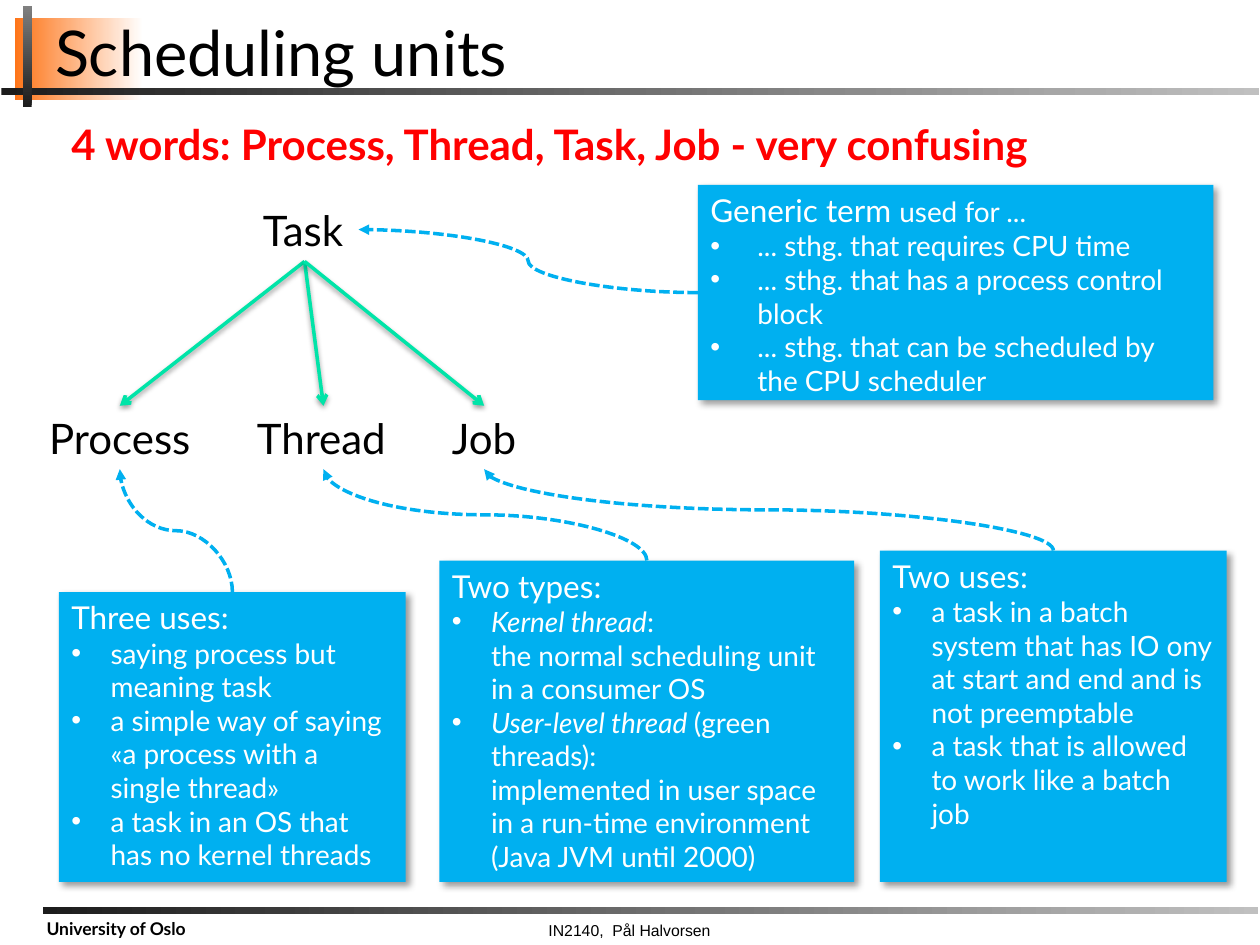
import pptx
import pptx.dml.color
import pptx.enum.dml
import pptx.enum.shapes
import pptx.enum.text
import pptx.oxml
import pptx.oxml.ns
import pptx.util
from lxml import etree

Cm = pptx.util.Cm
Pt = pptx.util.Pt
RGBColor = pptx.dml.color.RGBColor
CONNECTOR = pptx.enum.shapes.MSO_CONNECTOR
ANCHOR = pptx.enum.text.MSO_ANCHOR
ALIGN = pptx.enum.text.PP_ALIGN
qn = pptx.oxml.ns.qn

BLACK = RGBColor(0x00, 0x00, 0x00)
WHITE = RGBColor(0xFF, 0xFF, 0xFF)
RED = RGBColor(0xFF, 0x00, 0x00)
BLUE = RGBColor(0x00, 0xB0, 0xF0)
GREEN = RGBColor(0x00, 0xE4, 0xA8)
ORANGE = RGBColor(0xFE, 0x75, 0x19)
DARK = RGBColor(0x1C, 0x1C, 0x1C)
MID_GREY = RGBColor(0x80, 0x80, 0x80)
LIGHT_GREY = RGBColor(0xC0, 0xC0, 0xC0)

TOP, LEFT, BOTTOM, RIGHT = range(4)


def add_run(p, text, size=16, font="Lato", color=BLACK, bold=False, italic=False):
    """Add text to a paragraph; each newline becomes a line break."""
    for i, line in enumerate(text.split("\n")):
        if i:
            p.add_line_break()
        r = p.add_run()
        r.text = line
        r.font.size = Pt(size)
        r.font.name = font
        r.font.color.rgb = color
        r.font.bold = bold
        r.font.italic = italic


def add_label(s, text, x, y, w, h, wrap=True, align=ALIGN.LEFT, anchor=ANCHOR.TOP,
              top=0.13, right=0.25, spacing=None, **fmt):
    sp = s.shapes.add_textbox(Cm(x), Cm(y), Cm(w), Cm(h))
    tf = sp.text_frame
    tf.word_wrap = wrap
    tf.vertical_anchor = anchor
    tf.margin_top, tf.margin_right = Cm(top), Cm(right)
    p = tf.paragraphs[0]
    p.alignment = align
    p.line_spacing = spacing
    add_run(p, text, **fmt)
    return sp


def add_rect(s, x, y, w, h):
    sp = s.shapes.add_shape(pptx.enum.shapes.MSO_SHAPE.RECTANGLE, Cm(x), Cm(y), Cm(w), Cm(h))
    sp.shadow.inherit = False
    sp.line.fill.background()
    return sp


def add_gradient_bar(s, x, y, w, h, start, end, angle=0):
    fill = add_rect(s, x, y, w, h).fill
    fill.gradient()
    fill.gradient_angle = angle
    for stop, position, color in zip(fill.gradient_stops, (0, 1), (start, end)):
        stop.position = position
        stop.color.rgb = color


def add_shadow(effects, alpha, blur, dist, angle):
    shadow = etree.SubElement(effects, qn("a:outerShdw"), blurRad=str(Pt(blur)),
                              dist=str(Pt(dist)), dir=str(angle * 60000), rotWithShape="0")
    color = etree.SubElement(shadow, qn("a:srgbClr"), val=str(BLACK))
    etree.SubElement(color, qn("a:alpha"), val=str(alpha * 1000))


def add_bullet(p, indent):
    pPr = p._p.get_or_add_pPr()
    pPr.set("marL", str(Cm(indent)))
    pPr.set("indent", str(-Cm(indent)))
    etree.SubElement(pPr, qn("a:buFont"), typeface="Arial")
    etree.SubElement(pPr, qn("a:buChar"), char="•")


def add_note(s, x, y, w, h, heading, bullets, indent=0.79):
    """Blue box: heading runs, then bullets, each a list of (text, format)."""
    sp = add_rect(s, x, y, w, h)
    sp.fill.solid()
    sp.fill.fore_color.rgb = BLUE
    add_shadow(sp.element.spPr.find(qn("a:effectLst")), 40, 4, 3, 45)
    tf = sp.text_frame
    tf.word_wrap = True
    tf.vertical_anchor = ANCHOR.TOP
    for i, runs in enumerate([heading] + bullets):
        p = tf.add_paragraph() if i else tf.paragraphs[0]
        p.alignment = ALIGN.LEFT
        if i:
            add_bullet(p, indent)
        for text, fmt in runs:
            add_run(p, text, color=WHITE, **fmt)
    return sp


def add_arrow(s, kind, start, start_side, end, end_side, color, head, dash=None):
    c = s.shapes.add_connector(kind, 0, 0, 0, 0)
    c.begin_connect(start, start_side)
    c.end_connect(end, end_side)
    c.line.color.rgb = color
    c.line.width = Pt(2)
    if dash:
        c.line.dash_style = dash
    etree.SubElement(c.line._get_or_add_ln(), qn("a:tailEnd"), type=head)
    return c, etree.SubElement(c.element.spPr, qn("a:effectLst"))


def add_branch(s, start, end):
    _, effects = add_arrow(s, CONNECTOR.STRAIGHT, start, BOTTOM, end, TOP, GREEN, "arrow")
    add_shadow(effects, 38, 3.1, 1.6, 90)


def add_curve(s, note, note_side, label, label_side):
    c, _ = add_arrow(s, CONNECTOR.CURVE, note, note_side, label, label_side, BLUE,
                     "triangle", pptx.enum.dml.MSO_LINE.SQUARE_DOT)
    if note_side == TOP:
        turn_upright(c)


def turn_upright(c):
    """Turn a curve so that it leaves and arrives vertically."""
    x, y, w, h = c.left, c.top, c.width, c.height
    c.left, c.top = x + (w - h) // 2, y + (h - w) // 2
    c.width, c.height = h, w
    xfrm = c.element.spPr.find(qn("a:xfrm"))
    xfrm.set("rot", str(270 * 60000))
    xfrm.set("flipH", "0")
    xfrm.set("flipV", "1")


def add_frame(s):
    add_gradient_bar(s, 0.3, 0.36, 2.59, 1.65, ORANGE, WHITE)
    add_label(s, "IN2140,  Pål Halvorsen", 5.59, 18.49, 14.2, 0.58, align=ALIGN.CENTER,
              top=0.08, size=9, font="Arial")
    add_gradient_bar(s, 0.03, 1.78, 25.35, 0.13, DARK, LIGHT_GREY)
    add_gradient_bar(s, 0.46, 0.12, 0.18, 2.03, DARK, MID_GREY, angle=90)
    add_gradient_bar(s, 0.86, 18.29, 24.51, 0.13, DARK, LIGHT_GREY)
    add_label(s, "University of Oslo", 0.69, 18.42, 4.14, 0.61, top=0.08, size=10, bold=True)
    add_label(s, "Scheduling units", 0.86, 0.36, 24.43, 1.55, anchor=ANCHOR.BOTTOM,
              right=0.1, spacing=0.8, size=36)


def main():
    prs = pptx.Presentation()
    prs.slide_width, prs.slide_height = Cm(25.4), Cm(19.05)
    s = prs.slides.add_slide(prs.slide_layouts[6])
    add_frame(s)

    task, process, thread, job = [
        add_label(s, text, x, y, w, 1.28, wrap=False, size=24)
        for text, x, y, w in (("Task", 5.05, 3.99, 2.18), ("Process", 0.74, 8.18, 3.35),
                              ("Thread", 4.93, 8.18, 3.18), ("Job", 8.86, 8.18, 1.8))]
    for unit in (process, thread, job):
        add_branch(s, task, unit)
    add_label(s, "4 words: Process, Thread, Task, Job - very confusing",
              1.19, 2.26, 23.01, 1.28, size=24, color=RED, bold=True)

    big, plain, italic = {"size": 18}, {}, {"italic": True}
    job_note = add_note(s, 17.74, 11.1, 6.99, 6.68, [("Two uses:", big)], [
        [("a task in a batch system that has IO ony at start and end and is not preemptable",
          plain)],
        [("a task that is allowed to work like a batch job", plain)]])
    task_note = add_note(
        s, 14.07, 3.73, 10.39, 4.34, [("Generic term ", big), ("used for ...", plain)], [
            [("... sthg. that requires CPU time", plain)],
            [("... sthg. that has a process control block", plain)],
            [("... sthg. that can be scheduled by the CPU scheduler", plain)]], indent=0.95)
    process_note = add_note(s, 1.19, 11.94, 6.99, 5.84, [("Three uses:", big)], [
        [("saying process but meaning task", plain)],
        [("a simple way of saying «a process with a single thread»", plain)],
        [("a task in an OS that has no kernel threads", plain)]])
    thread_note = add_note(s, 8.86, 11.3, 8.36, 6.48, [("Two types:", big)], [
        [("Kernel thread", italic),
         (":\nthe normal scheduling unit in a consumer OS", plain)],
        [("User-level thread ", italic),
         ("(green threads):\nimplemented in user space in a run-time environment "
          "(Java JVM until 2000)", plain)]])

    add_curve(s, task_note, LEFT, task, RIGHT)
    for note, unit in ((job_note, job), (process_note, process), (thread_note, thread)):
        add_curve(s, note, TOP, unit, BOTTOM)
    prs.save("out.pptx")


if __name__ == "__main__":
    main()
